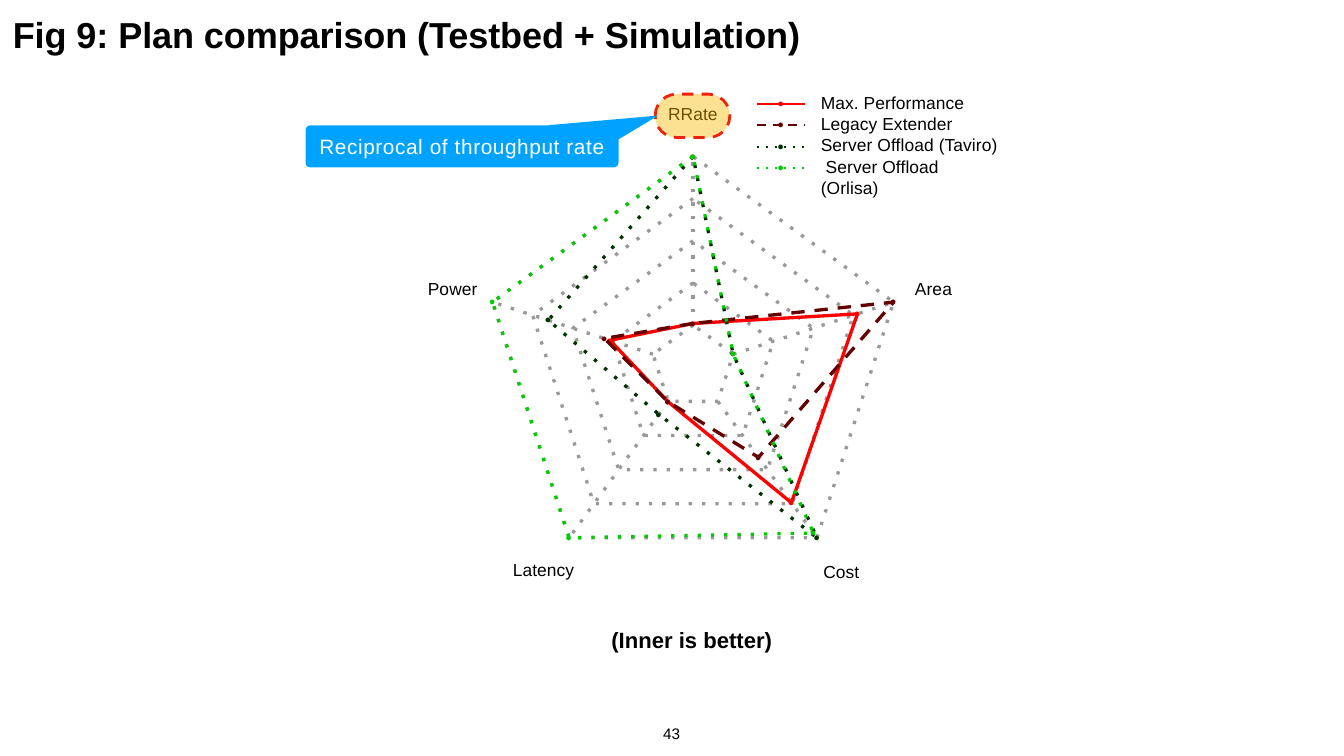
import math

import pptx
import pptx.dml.color
import pptx.enum.dml
import pptx.enum.shapes
import pptx.enum.text
import pptx.oxml.ns
import pptx.util

Inches, Pt = pptx.util.Inches, pptx.util.Pt
qn = pptx.oxml.ns.qn
Align = pptx.enum.text.PP_ALIGN
Kind = pptx.enum.shapes.MSO_SHAPE

COLORS = {
    "black": "000000", "white": "FFFFFF", "grid": "999999",
    "red": "FF0000", "maroon": "650000", "pine": "003300", "green": "00CC00",
    "badge": "F8BA00", "border": "EE220C", "callout": "00A2FF",
}
HUB = (11.34, 6.01)
STEP = 0.69  # inches between rings
RINGS = 5
AXES = 5
# Color, dash and ring value on RRate, Power, Latency, Cost, Area
PLANS = [
    ("red", None, (1.04, 2.07, 1.01, 3.97, 4.1)),
    ("maroon", "dash", (1.04, 2.21, 1.01, 2.64, 5)),
    ("pine", "dot", (5, 3.61, 1.38, 5, 1)),
    ("green", "dot", (5, 5, 5, 4.86, 1)),
]
LABELS = [
    ("RRate", 10.92, 1.67, 0.85),
    ("Power", 6.99, 4.53, 0.83),
    ("Latency", 8.38, 9.13, 1.04),
    ("Cost", 13.46, 9.16, 0.62),
    ("Area", 14.96, 4.53, 0.64),
]
LEGEND = ("Max. Performance\vLegacy Extender\vServer Offload (Taviro)"
          "\v Server Offload\v(Orlisa)")


def rgb(name):
    return pptx.dml.color.RGBColor.from_string(COLORS[name])


def spot(axis, value):
    """Point at a ring value on an axis, counted anticlockwise from the top."""
    turn = math.tau * axis / AXES
    return (HUB[0] - STEP * value * math.sin(turn),
            HUB[1] - STEP * value * math.cos(turn))


def stroke(shape, color, width, dash=None):
    line = shape.line
    line.color.rgb = rgb(color)
    line.width = Pt(width)
    if dash:
        line.dash_style = pptx.enum.dml.MSO_LINE.DASH
        shape.element.spPr.find(qn("a:ln")).find(qn("a:prstDash")).set("val", dash)


def paint(shape, color, alpha=None):
    """Solid fill, optionally see-through, with no outline."""
    shape.shadow.inherit = False
    shape.fill.solid()
    shape.fill.fore_color.rgb = rgb(color)
    shape.line.fill.background()
    if alpha:
        tint = shape.element.spPr.find(qn("a:solidFill"))[0]
        tint.append(tint.makeelement(qn("a:alpha"), {"val": str(alpha * 1000)}))


def outline(slide, points):
    pen = slide.shapes.build_freeform(Inches(points[0][0]), Inches(points[0][1]))
    pen.add_line_segments([(Inches(x), Inches(y)) for x, y in points[1:]])
    shape = pen.convert_to_shape()
    shape.shadow.inherit = False
    return shape


def web(slide, values, color, dash):
    """Unfilled polygon with one corner on each axis."""
    shape = outline(slide, [spot(i, value) for i, value in enumerate(values)])
    shape.fill.background()
    stroke(shape, color, 3.9, dash)


def rule(slide, start, end, color, width, dash):
    ends = [Inches(v) for v in (*start, *end)]
    line = slide.shapes.add_connector(pptx.enum.shapes.MSO_CONNECTOR.STRAIGHT, *ends)
    stroke(line, color, width, dash)
    spPr = line.element.spPr
    spPr.append(spPr.makeelement(qn("a:effectLst"), {}))


def write(frame, words, size, color="black", bold=False, align=Align.LEFT, gap=0):
    """Put one paragraph in a frame; gap is letter spacing in points."""
    frame.margin_left = frame.margin_right = frame.margin_bottom = 0
    frame.margin_top = Inches(0.02)
    para = frame.paragraphs[0]
    para.text = words
    para.alignment = align
    font = para.font
    font.name, font.size, font.bold = "Arial", Pt(size), bold
    font.color.rgb = rgb(color)
    if gap:
        para._p.pPr.find(qn("a:defRPr")).set("spc", str(round(gap * 100)))
    return para


def label(slide, words, box, size, **style):
    text = slide.shapes.add_textbox(*map(Inches, box))
    return write(text.text_frame, words, size, **style)


def dot(slide, point, color, bold=False):
    x, y = point
    label(slide, "●", (x - 0.09, y - 0.14, 0.17, 0.24), 13,
          color=color, bold=bold, align=Align.CENTER)


def radar(slide):
    for ring in range(1, RINGS + 1):
        web(slide, [ring] * AXES, "grid", "dot")
    for axis in range(AXES):
        rule(slide, spot(axis, 1), spot(axis, RINGS), "grid", 3.9, "dot")
    for words, x, y, width in LABELS:
        label(slide, words, (x + 0.01, y, width, 0.38), 20.5, gap=0.1)
    for color, dash, values in PLANS:
        web(slide, values, color, dash)
        for axis, value in enumerate(values):
            dot(slide, spot(axis, value), color)


def legend(slide):
    for row, (color, dash, _) in enumerate(PLANS):
        y = 1.7 + 0.35 * row
        rule(slide, (12.39, y), (13.17, y), color, 2.6, dash)
        dot(slide, (12.78, y), color, bold=True)
    para = label(slide, LEGEND, (13.43, 1.48, 2.94, 1.75), 20.5, gap=0.1)
    para.line_spacing = Pt(25)


def block(slide, box, radius):
    """Rounded rectangle with its corner radius in inches."""
    shape = slide.shapes.add_shape(Kind.ROUNDED_RECTANGLE, *map(Inches, box))
    shape.adjustments[0] = radius / min(box[2:])
    return shape


def callout(slide):
    badge = block(slide, (10.72, 1.54, 1.22, 0.71), 0.35)
    paint(badge, "badge", 43)
    stroke(badge, "border", 3.3, "dash")

    tail = outline(slide, [(8.96, 2.05), (10.77, 1.89), (10.12, 2.28)])
    paint(tail, "callout")
    note = block(slide, (5, 2.05, 5.12, 0.69), 0.08)
    paint(note, "callout")
    frame = note.text_frame
    frame.word_wrap = False
    frame.vertical_anchor = pptx.enum.text.MSO_ANCHOR.MIDDLE
    write(frame, "Reciprocal of throughput rate", 24.5, color="white",
          align=Align.CENTER, gap=0.75)
    frame.margin_top = 0


def main():
    deck = pptx.Presentation()
    deck.slide_width, deck.slide_height = Inches(21.99), Inches(12.37)
    slide = deck.slides.add_slide(deck.slide_layouts[6])
    radar(slide)
    legend(slide)
    label(slide, "(Inner is better)", (9.98, 10.23, 2.68, 0.47), 26,
          bold=True, align=Align.CENTER)
    label(slide, "Fig 9: Plan comparison (Testbed + Simulation)",
          (0.21, 0.18, 12.96, 0.74), 42.5, bold=True, gap=-0.1)
    callout(slide)
    label(slide, "43", (10.82, 11.83, 0.34, 0.33), 18, align=Align.CENTER)
    deck.save("out.pptx")


if __name__ == "__main__":
    main()
